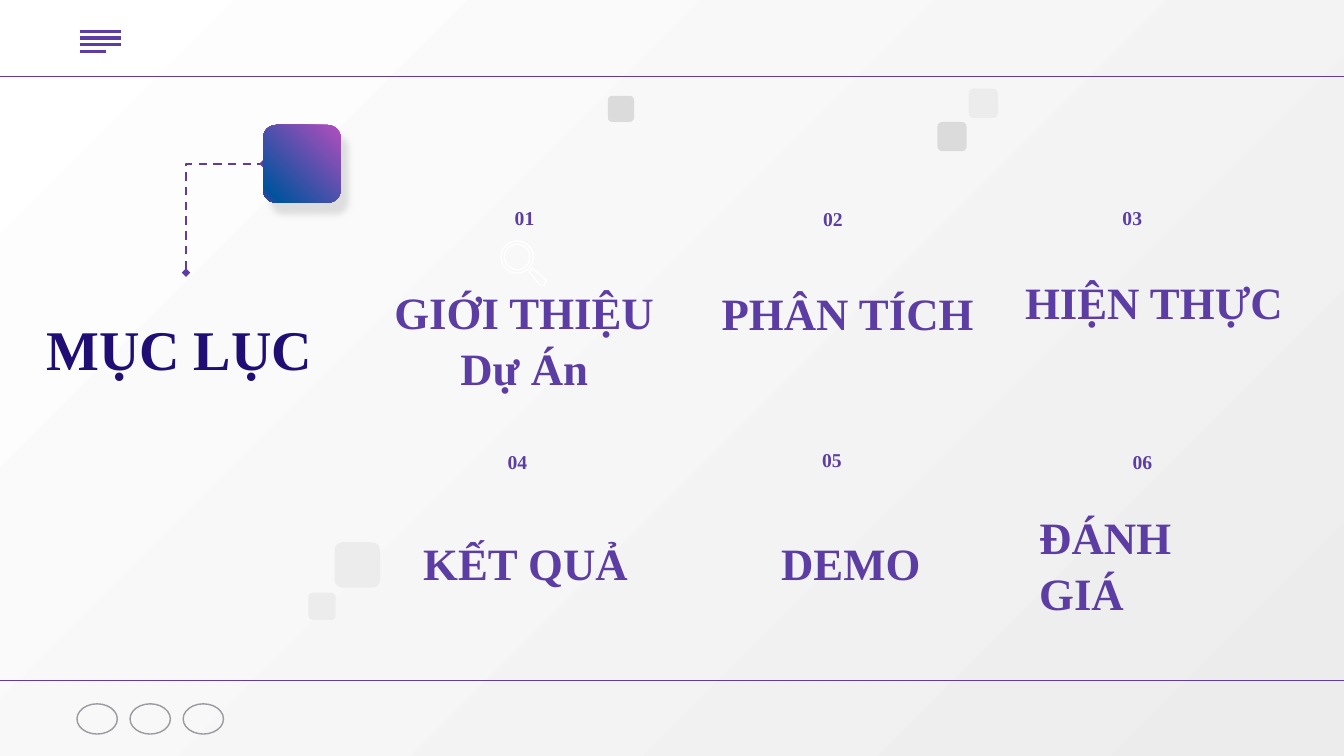
from copy import deepcopy

from pptx import Presentation
from pptx.dml.color import RGBColor
from pptx.enum.dml import MSO_LINE_DASH_STYLE as DASH
from pptx.enum.shapes import MSO_CONNECTOR as LINK, MSO_SHAPE as SHAPE
from pptx.enum.text import MSO_ANCHOR as ANCHOR, MSO_AUTO_SIZE as FIT, PP_ALIGN as ALIGN
from pptx.oxml import parse_xml
from pptx.oxml.ns import nsdecls, qn
from pptx.util import Inches, Pt

PURPLE = RGBColor(0x5C, 0x3D, 0xA4)
NAVY = RGBColor(0x20, 0x0E, 0x74)
WHITE = RGBColor(0xFF, 0xFF, 0xFF)
PALE = RGBColor(0xEC, 0xEC, 0xEC)
SILVER = RGBColor(0xDB, 0xDB, 0xDB)
GRAY = RGBColor(0x9A, 0x9A, 0xA0)
MAGENTA = RGBColor(0xB2, 0x4E, 0xBE)
BLUE = RGBColor(0x01, 0x53, 0x9D)

deck = Presentation()
deck.slide_width, deck.slide_height = Inches(13.33), Inches(7.5)
COL, ROW = deck.slide_width / 100, deck.slide_height / 100
slide = deck.slides.add_slide(deck.slide_layouts[5])
shapes = slide.shapes

backdrop = slide.background.fill
backdrop.gradient()
backdrop.gradient_angle = 315
for stop, color in zip(backdrop.gradient_stops, (WHITE, PALE)):
    stop.color.rgb = color


def write(box, text, size, color, align=ALIGN.LEFT, anchor=ANCHOR.MIDDLE, inset=0.1):
    frame = box.text_frame
    frame.word_wrap = True
    frame.auto_size = FIT.NONE
    frame.vertical_anchor = anchor
    frame.margin_left = frame.margin_right = Inches(0.1)
    frame.margin_top = frame.margin_bottom = Inches(inset)
    paragraph = frame.paragraphs[0]
    paragraph.text = text
    paragraph.alignment = align
    paragraph.line_spacing = 1.05
    font = paragraph.font
    font.name, font.size, font.bold = "Times New Roman", Pt(size), True
    font.color.rgb = color


def draw_line(kind, left, top, right, bottom, weight):
    line = shapes.add_connector(
        kind, round(left * COL), round(top * ROW), round(right * COL), round(bottom * ROW))
    line.line.color.rgb = PURPLE
    line.line.width = Pt(weight)
    line.element.spPr.append(parse_xml(f"<a:effectLst {nsdecls('a')}/>"))
    return line


for rule_top in (10.13, 90):
    draw_line(LINK.STRAIGHT, -0.5, rule_top, 100.5, rule_top, 0.75)

for row, bar_right in enumerate((9, 9, 9, 7.88)):
    bar_top = 4.13 + row * 0.89
    draw_line(LINK.STRAIGHT, 5.93, bar_top, bar_right, bar_top, 2.25)

for place in range(3):
    badge = shapes.add_shape(
        SHAPE.OVAL, round((5.73 + place * 3.95) * COL), round(93.1 * ROW),
        round(3 * COL), round(4 * ROW))
    badge.shadow.inherit = False
    badge.fill.background()
    badge.line.color.rgb = GRAY
    badge.line.width = Pt(1)

heading = shapes.title
heading.left, heading.top = round(2.7 * COL), round(36 * ROW)
heading.width, heading.height = round(22.35 * COL), round(19.73 * ROW)
write(heading, "MỤC LỤC", 40, NAVY)

elbow = draw_line(LINK.ELBOW, 12.68, 23.73, 20.78, 34, 1.5)
elbow.line.dash_style = DASH.DASH
elbow_props = elbow.element.spPr
elbow_props.find(qn("a:xfrm")).set("rot", "16200000")
elbow_props.find(qn("a:prstGeom")).set("prst", "bentConnector2")
for end in ("headEnd", "tailEnd"):
    elbow_props.find(qn("a:ln")).append(parse_xml(f'<a:{end} {nsdecls("a")} type="diamond"/>'))

tiles = [
    (45.23, 12.67, 1.95, SILVER),
    (69.75, 16.13, 2.18, SILVER),
    (72.08, 11.73, 2.18, PALE),
    (24.9, 71.73, 3.38, PALE),
    (22.95, 78.4, 2.03, PALE),
    (19.58, 16.53, 5.78, MAGENTA),
]
for left, top, side, color in tiles:
    tile = shapes.add_shape(
        SHAPE.ROUNDED_RECTANGLE, round(left * COL), round(top * ROW),
        round(side * COL), round(side * COL))
    tile.shadow.inherit = False
    tile.fill.solid()
    tile.fill.fore_color.rgb = color
    tile.line.fill.background()

accent = tile
accent.fill.gradient()
accent.fill.gradient_angle = 225
accent_props = accent.element.spPr
stop_list = accent_props.find(qn("a:gradFill")).find(qn("a:gsLst"))
stop_list.append(deepcopy(stop_list[-1]))
accent_stops = ((0, MAGENTA), (0.89, BLUE), (1, PURPLE))
for stop, (position, color) in zip(accent.fill.gradient_stops, accent_stops):
    stop.position = position
    stop.color.rgb = color
accent_props.find(qn("a:effectLst")).append(parse_xml(
    f'<a:outerShdw {nsdecls("a")} blurRad="{Pt(4.5)}" dist="{Pt(9.8)}" dir="{55 * 60000}" '
    'algn="tl" rotWithShape="0"><a:srgbClr val="CCCCCC"><a:alpha val="60000"/>'
    '</a:srgbClr></a:outerShdw>'))

lens_x, lens_y = 38.48 * COL, 34 * ROW
magnifier = [
    shapes.add_shape(SHAPE.OVAL, round(lens_x - side * COL / 2), round(lens_y - side * COL / 2),
                     round(side * COL), round(side * COL))
    for side in (2.4, 1.9)
]
handle_points = [(39.38, 36), (39.6, 35.47), (40.65, 37.07), (40.5, 37.73), (40.2, 37.73)]
handle = [(round(x * COL), round(y * ROW)) for x, y in handle_points]
outline = shapes.build_freeform(*handle[0])
outline.add_line_segments(handle[1:], close=True)
magnifier.append(outline.convert_to_shape())
for part in magnifier:
    part.shadow.inherit = False
    part.fill.background()
    part.line.color.rgb = WHITE
    part.line.width = Pt(1)

topics = [
    ("GIỚI THIỆU Dự Án", 28.28, 38.4, 21.45, 12.67, ALIGN.CENTER, 35.63, 26.4),
    ("PHÂN TÍCH", 52.95, 37.33, 21.08, 7.73, ALIGN.LEFT, 58.58, 26.53),
    ("HIỆN THỰC", 75.53, 35.87, 22.58, 7.73, ALIGN.LEFT, 80.85, 26.4),
    ("KẾT QUẢ", 30.75, 70.4, 18.15, 7.73, ALIGN.LEFT, 35.1, 58.67),
    ("DEMO", 57.38, 70.4, 18.15, 7.73, ALIGN.LEFT, 58.5, 58.4),
    ("ĐÁNH GIÁ", 76.58, 70.67, 18.15, 7.73, ALIGN.LEFT, 81.6, 58.67),
]
for order, (name, left, top, width, height, align, number_left, number_top) in enumerate(topics, 1):
    topic = shapes.add_textbox(
        round(left * COL), round(top * ROW), round(width * COL), round(height * ROW))
    write(topic, name, 32, PURPLE, align)
    number = shapes.add_textbox(
        round(number_left * COL), round(number_top * ROW), round(6.8 * COL), round(9.47 * ROW))
    write(number, f"{order:02}", 14, PURPLE, ALIGN.CENTER, ANCHOR.TOP, 0.05)

deck.save("out.pptx")
